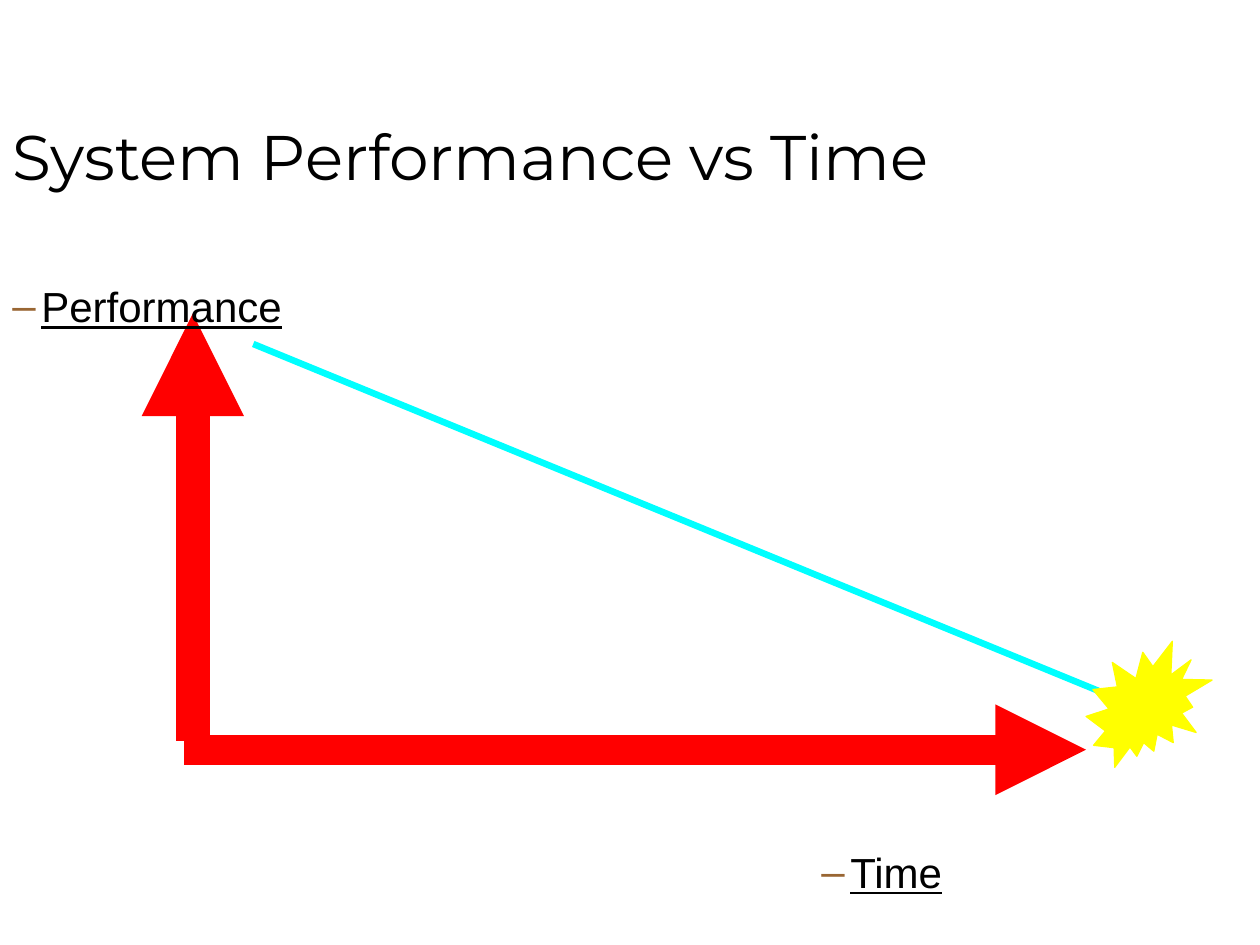
"""Builds the System Performance vs Time slide."""
from lxml import etree
from pptx import Presentation
from pptx.dml.color import RGBColor
from pptx.enum.shapes import MSO_CONNECTOR, MSO_SHAPE
from pptx.enum.text import MSO_ANCHOR
from pptx.oxml.ns import qn
from pptx.util import Inches, Pt

LINE = MSO_CONNECTOR.STRAIGHT
BURST = MSO_SHAPE.EXPLOSION2
TOP, BOTTOM = MSO_ANCHOR.TOP, MSO_ANCHOR.BOTTOM

BLACK = RGBColor(0x00, 0x00, 0x00)
RED = RGBColor(0xFF, 0x00, 0x00)
CYAN = RGBColor(0x00, 0xFF, 0xFF)
YELLOW = RGBColor(0xFF, 0xFF, 0x00)
BROWN = RGBColor(0x99, 0x66, 0x33)


class Deck:
    def __init__(self):
        self.prs = Presentation()
        self.prs.slide_width, self.prs.slide_height = Inches(10), Inches(7.5)
        self.s = self.prs.slides.add_slide(self.prs.slide_layouts[6])

    def text(self, text, box, font="Arial", size=24, anchor=TOP,
             top=0.05, bottom=0.05, spacing=None, underline=None, bullet=None):
        tf = self.s.shapes.add_textbox(*map(Inches, box)).text_frame
        tf.word_wrap = True
        tf.vertical_anchor = anchor
        tf.margin_top, tf.margin_bottom = Inches(top), Inches(bottom)
        p = tf.paragraphs[0]
        p.line_spacing = spacing
        if bullet:
            self.bullet(p, bullet)
        r = p.add_run()
        r.text = text
        r.font.name, r.font.size = font, Pt(size)
        r.font.underline = underline
        r.font.color.rgb = BLACK

    def bullet(self, p, char, color=BROWN, indent=0.23):
        pPr = p._p.get_or_add_pPr()
        pPr.set("marL", str(Inches(indent)))
        pPr.set("indent", str(-Inches(indent)))
        clr = etree.SubElement(pPr, qn("a:buClr"))
        etree.SubElement(clr, qn("a:srgbClr"), val=str(color))
        etree.SubElement(pPr, qn("a:buFont"), typeface="Arial")
        etree.SubElement(pPr, qn("a:buChar"), char=char)

    def arrow(self, start, end, color, width):
        sp = self.s.shapes.add_connector(LINE, *map(Inches, start + end))
        sp.line.color.rgb = color
        sp.line.width = Pt(width)
        etree.SubElement(sp.line._get_or_add_ln(), qn("a:tailEnd"), type="triangle")
        etree.SubElement(sp._element.spPr, qn("a:effectLst"))

    def shape(self, kind, box, color):
        sp = self.s.shapes.add_shape(kind, *map(Inches, box))
        sp.shadow.inherit = False
        sp.fill.solid()
        sp.fill.fore_color.rgb = color
        sp.line.color.rgb = color
        sp.line.width = Pt(0.75)


def main():
    deck = Deck()
    deck.text("System Performance vs Time", (0, 0.3, 9, 1.25),
              font="Montserrat", size=36, anchor=BOTTOM, bottom=0.02)
    deck.arrow((1.53, 5.88), (1.53, 2.49), RED, 19.5)
    deck.arrow((1.46, 5.95), (8.62, 5.95), RED, 17.25)
    for label, box in (("Performance", (0, 2.02, 4.37, 0.62)),
                       ("Time", (6.42, 6.51, 2.86, 0.62))):
        deck.text(label, box, top=0.09, spacing=1.3, underline=True, bullet="–")
    deck.arrow((2.01, 2.73), (9.1, 5.64), CYAN, 3.75)
    deck.shape(BURST, (8.62, 5.09, 1, 1), YELLOW)
    deck.prs.save("out.pptx")


if __name__ == "__main__":
    main()
